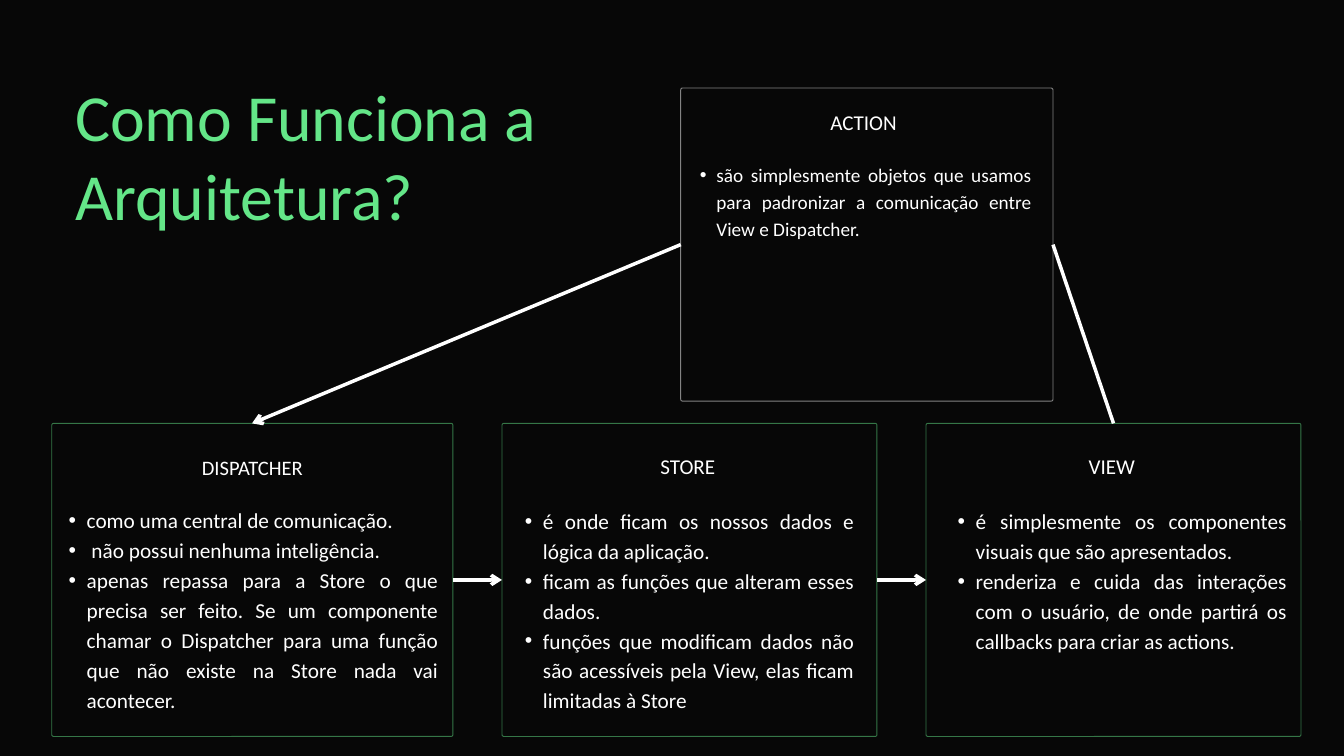
import pptx
import pptx.util
import pptx.dml.color
import pptx.enum.shapes
import pptx.enum.text
import pptx.oxml.ns
from lxml import etree

PX = 9144  # EMU per px, 100 px to the inch
FONT = "Calibri"
WHITE, GREEN, BLACK = "FFFFFF", "64E688", "070707"
ALIGN = pptx.enum.text.PP_ALIGN
qn = pptx.oxml.ns.qn

# Row of three cards, with the action card above
CARDS = {
    "action": dict(
        box=(1013, 131, 554, 466), edge=WHITE, head="ACTION",
        head_box=(83, 26, 378, 43), head_size=22.6,
        list_box=(4, 106, 518, 157), size=20.6, lead=28.9, indent=49,
        items=["são simplesmente objetos que usamos para padronizar a "
               "comunicação entre View e Dispatcher."]),
    "dispatcher": dict(
        box=(77, 630, 597, 466), edge=GREEN, head="DISPATCHER",
        head_box=(40, 41, 517, 40), head_size=22,
        list_box=(-2, 119, 577, 305), size=22.8, lead=32, indent=54,
        items=["como uma central de comunicação.",
               " não possui nenhuma inteligência.",
               "apenas repassa para a Store o que precisa ser feito. Se um "
               "componente chamar o Dispatcher para uma função que não "
               "existe na Store nada vai acontecer."]),
    "store": dict(
        box=(747, 630, 558, 466), edge=GREEN, head="STORE",
        head_box=(18, 39, 517, 43), head_size=22.6,
        list_box=(7, 120, 517, 305), size=22.8, lead=32, indent=54,
        items=["é onde ficam os nossos dados e lógica da aplicação.",
               "ficam as funções que alteram esses dados.",
               "funções que modificam dados não são acessíveis pela View, "
               "elas ficam limitadas à Store"]),
    "view": dict(
        box=(1378, 630, 558, 466), edge=GREEN, head="VIEW",
        head_box=(18, 39, 517, 43), head_size=22.6,
        list_box=(20, 120, 517, 305), size=22.8, lead=32, indent=54,
        items=["é simplesmente os componentes visuais que são "
               "apresentados.",
               "renderiza e cuida das interações com o usuário, de onde "
               "partirá os callbacks para criar as actions."]),
}


def emu(*vals):
    return [pptx.util.Emu(v * PX) for v in vals]


def paint(color, value):
    color.rgb = pptx.dml.color.RGBColor.from_string(value)


def place(shape, box):
    shape.left, shape.top, shape.width, shape.height = emu(*box)


def inner(box, part):
    return box[0] + part[0], box[1] + part[1], part[2], part[3]


def prepare(shape):
    frame = shape.text_frame
    frame.word_wrap = True
    frame.auto_size = pptx.enum.text.MSO_AUTO_SIZE.NONE
    frame.vertical_anchor = pptx.enum.text.MSO_ANCHOR.TOP
    frame.margin_left = frame.margin_right = 0
    frame.margin_top = frame.margin_bottom = 0
    return frame


def write(para, text, size, color, lead, align):
    para.alignment = align
    para.line_spacing = pptx.util.Pt(lead)
    para.space_before = para.space_after = pptx.util.Pt(0)
    run = para.add_run()
    run.text = text
    run.font.name = FONT
    run.font.size = pptx.util.Pt(size)
    run.font.bold = False
    paint(run.font.color, color)


def bullet(para, indent):
    props = para._p.get_or_add_pPr()
    props.set("marL", str(indent * PX))
    props.set("indent", str(-indent * PX // 2))
    etree.SubElement(props, qn("a:buFont")).set("typeface", "Arial")
    etree.SubElement(props, qn("a:buChar")).set("char", "•")


def add_title(slide, box):
    shape = slide.shapes.title
    place(shape, box)
    para = prepare(shape).paragraphs[0]
    write(para, "Como Funciona a Arquitetura?", 70.5, GREEN, 84.6, ALIGN.LEFT)


def add_card(slide, body, box, card):
    # Thin, half transparent frame
    kind = pptx.enum.shapes.MSO_SHAPE.ROUNDED_RECTANGLE
    frame = slide.shapes.add_shape(kind, *emu(*box))
    frame.adjustments[0] = 0.006
    frame.shadow.inherit = False
    frame.fill.background()
    frame.line.width = pptx.util.Pt(1)
    paint(frame.line.color, card["edge"])
    tint = frame.line._ln.find(".//" + qn("a:srgbClr"))
    etree.SubElement(tint, qn("a:alpha")).set("val", "50000")

    # Heading
    head = slide.shapes.add_textbox(*emu(*inner(box, card["head_box"])))
    write(prepare(head).paragraphs[0], card["head"], card["head_size"],
          WHITE, card["head_size"] * 1.4, ALIGN.CENTER)

    # Bullet list
    place(body, inner(box, card["list_box"]))
    text = prepare(body)
    for i, item in enumerate(card["items"]):
        para = text.add_paragraph() if i else text.paragraphs[0]
        bullet(para, card["indent"])
        write(para, item, card["size"], WHITE, card["lead"], ALIGN.JUSTIFY)


def add_link(slide, start, end, arrow=True):
    kind = pptx.enum.shapes.MSO_CONNECTOR.STRAIGHT
    link = slide.shapes.add_connector(kind, *emu(*start, *end))
    link.line.width = pptx.util.Pt(3.75)
    paint(link.line.color, WHITE)
    if arrow:
        tail = etree.SubElement(link.line._ln, qn("a:tailEnd"))
        tail.set("type", "arrow")
    etree.SubElement(link._element.spPr, qn("a:effectLst"))


def left(box):
    return box[0], box[1] + box[3] // 2


def right(box):
    return box[0] + box[2], box[1] + box[3] // 2


def top(box):
    return box[0] + box[2] // 2, box[1]


def main():
    deck = pptx.Presentation()
    deck.slide_width, deck.slide_height = emu(2000, 1125)
    # The comparison layout holds a title and four bodies
    slide = deck.slides.add_slide(deck.slide_layouts[4])
    slide.background.fill.solid()
    paint(slide.background.fill.fore_color, BLACK)

    add_title(slide, (112, 112, 914, 234))
    bodies = list(slide.placeholders)[1:5]
    for body, card in zip(bodies, CARDS.values()):
        add_card(slide, body, card["box"], card)

    # Flow between the cards
    action, sender, store, view = [c["box"] for c in CARDS.values()]
    add_link(slide, left(action), top(sender))
    add_link(slide, right(action), top(view), arrow=False)
    add_link(slide, right(sender), left(store))
    add_link(slide, right(store), left(view))
    deck.save("out.pptx")


if __name__ == "__main__":
    main()
